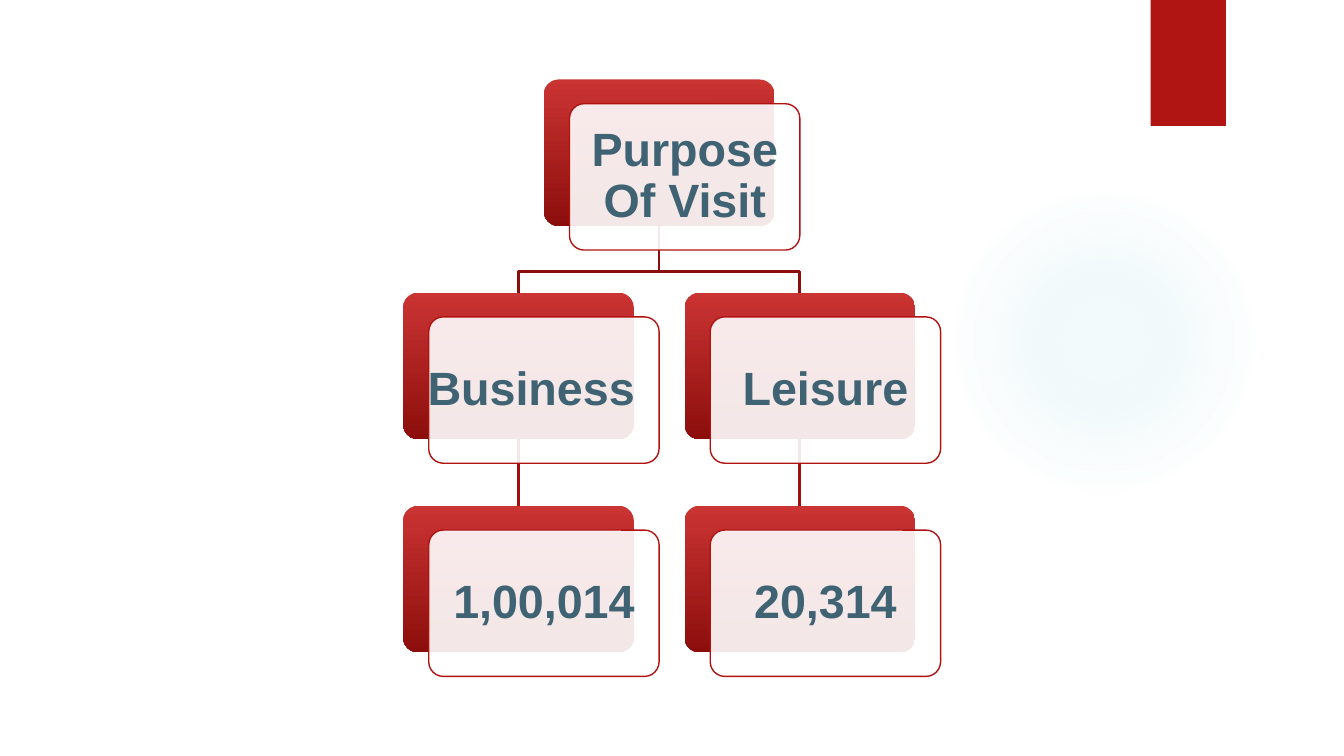
from lxml.etree import SubElement
from pptx import Presentation
from pptx.dml.color import RGBColor
from pptx.enum.shapes import MSO_CONNECTOR, MSO_SHAPE
from pptx.enum.text import MSO_ANCHOR, PP_ALIGN
from pptx.oxml import parse_xml
from pptx.oxml.ns import nsdecls, qn
from pptx.util import Pt

# Content: label, column, row, extra text width to the left
NODES = [
    ("Purpose Of Visit", 0.5, 0, 0),
    ("Business", 0, 1, 13.7),
    ("1,00,014", 0, 2, 0),
    ("Leisure", 1, 1, 0),
    ("20,314", 1, 2, 0),
]
COLUMNS = (1, 0)

# Layout in points
LEFT, TOP = 216, 42.6
COLUMN_STEP, ROW_STEP = 150.8, 114.2
CARD_WIDTH, CARD_HEIGHT = 123.4, 78.4
OFFSET_X, OFFSET_Y = 13.7, 13
TEXT_MARGIN = 2.3
BEND = 24.5

# Gradient stops: position, colour, opacity in percent
CARD_STOPS = [(0, "CA3433", 100), (100, "8C0E0C", 100)]
GLOW_STOPS = [(0, "4CB9C3", 7), (36, "4CB9C3", 6), (69, "4CB9C3", 0), (100, "4CB9C3", 0)]
DOWNWARD = '<a:lin ang="5400000" scaled="0"/>'
RADIAL = '<a:path path="circle"><a:fillToRect l="50000" t="50000" r="50000" b="50000"/></a:path>'

FRAME_FORMAT = {
    "word_wrap": True, "vertical_anchor": MSO_ANCHOR.MIDDLE,
    "margin_left": Pt(7.2), "margin_right": Pt(7.2),
    "margin_top": Pt(7.2), "margin_bottom": Pt(7.2),
}
PARA_FORMAT = {"alignment": PP_ALIGN.CENTER, "line_spacing": 0.9}
FONT_FORMAT = {"name": "Arial", "size": Pt(25), "bold": True}


def color(value):
    return RGBColor.from_string(value)


def apply(target, values):
    for name, value in values.items():
        setattr(target, name, value)


def add_box(kind, left, top, width, height):
    box = page.shapes.add_shape(kind, Pt(left), Pt(top), Pt(width), Pt(height))
    box.shadow.inherit = False
    box.line.fill.background()
    if kind == MSO_SHAPE.ROUNDED_RECTANGLE:
        box.adjustments[0] = 0.1
    return box


def set_solid(box, value, opacity=100):
    box.fill.solid()
    box.fill.fore_color.rgb = color(value)
    if opacity < 100:
        tint = box.fill._xPr.find(qn("a:solidFill"))[0]
        SubElement(tint, qn("a:alpha"), val=str(opacity * 1000))


def set_gradient(box, stops, direction):
    marks = "".join(
        f'<a:gs pos="{place * 1000}"><a:srgbClr val="{value}">'
        f'<a:alpha val="{opacity * 1000}"/></a:srgbClr></a:gs>'
        for place, value, opacity in stops)
    box.fill.background()
    empty = box._element.spPr.find(qn("a:noFill"))
    empty.getparent().replace(empty, parse_xml(
        f'<a:gradFill {nsdecls("a")} rotWithShape="1">'
        f'<a:gsLst>{marks}</a:gsLst>{direction}</a:gradFill>'))


def set_line(shape, value, width):
    shape.line.color.rgb = color(value)
    shape.line.width = Pt(width)


def corner(column, row):
    return LEFT + column * COLUMN_STEP, TOP + row * ROW_STEP


def middle(column):
    return corner(column, 0)[0] + CARD_WIDTH / 2


def add_branch(column):
    """Elbow from the root card down to the card in the given column."""
    bottom = TOP + CARD_HEIGHT
    start, end = middle(0.5), middle(column)
    points = [(start, bottom + BEND), (end, bottom + BEND), (end, TOP + ROW_STEP)]
    builder = page.shapes.build_freeform(Pt(start), Pt(bottom))
    builder.add_line_segments([(Pt(x), Pt(y)) for x, y in points], close=False)
    branch = builder.convert_to_shape()
    branch.shadow.inherit = False
    branch.fill.background()
    set_line(branch, "8B0D0C", 1.5)


def add_stem(column):
    """Straight line between the two lower cards of a column."""
    x = Pt(middle(column))
    stem = page.shapes.add_connector(
        MSO_CONNECTOR.STRAIGHT, x, Pt(TOP + ROW_STEP + CARD_HEIGHT),
        x, Pt(TOP + 2 * ROW_STEP))
    set_line(stem, "9F0F0E", 1.5)
    SubElement(stem._element.spPr, qn("a:effectLst"))


def add_node(label, column, row, extra):
    left, top = corner(column, row)
    back = add_box(MSO_SHAPE.ROUNDED_RECTANGLE, left, top, CARD_WIDTH, CARD_HEIGHT)
    set_gradient(back, CARD_STOPS, DOWNWARD)

    left, top = left + OFFSET_X, top + OFFSET_Y
    front = add_box(MSO_SHAPE.ROUNDED_RECTANGLE, left, top, CARD_WIDTH, CARD_HEIGHT)
    set_solid(front, "FFFFFF", 90)
    set_line(front, "B01210", 0.75)

    box = page.shapes.add_textbox(
        Pt(left + TEXT_MARGIN - extra), Pt(top + TEXT_MARGIN),
        Pt(CARD_WIDTH - 2 * TEXT_MARGIN + extra), Pt(CARD_HEIGHT - 2 * TEXT_MARGIN))
    apply(box.text_frame, FRAME_FORMAT)
    para = box.text_frame.paragraphs[0]
    apply(para, PARA_FORMAT)
    span = para.add_run()
    span.text = label
    apply(span.font, FONT_FORMAT)
    span.font.color.rgb = color("3F6373")


deck = Presentation()
deck.slide_width, deck.slide_height = Pt(720), Pt(405)
page = deck.slides.add_slide(deck.slide_layouts[6])

# Background decoration
glow = add_box(MSO_SHAPE.OVAL, 508.3, 99.4, 166.3, 166.3)
set_gradient(glow, GLOW_STOPS, RADIAL)
ribbon = add_box(MSO_SHAPE.RECTANGLE, 616.4, 0, 40.4, 67.5)
set_solid(ribbon, "B01513")

# Lines lie behind the cards
for column in COLUMNS:
    add_stem(column)
    add_branch(column)

# Cards with their labels
for node in NODES:
    add_node(*node)

deck.save("out.pptx")
